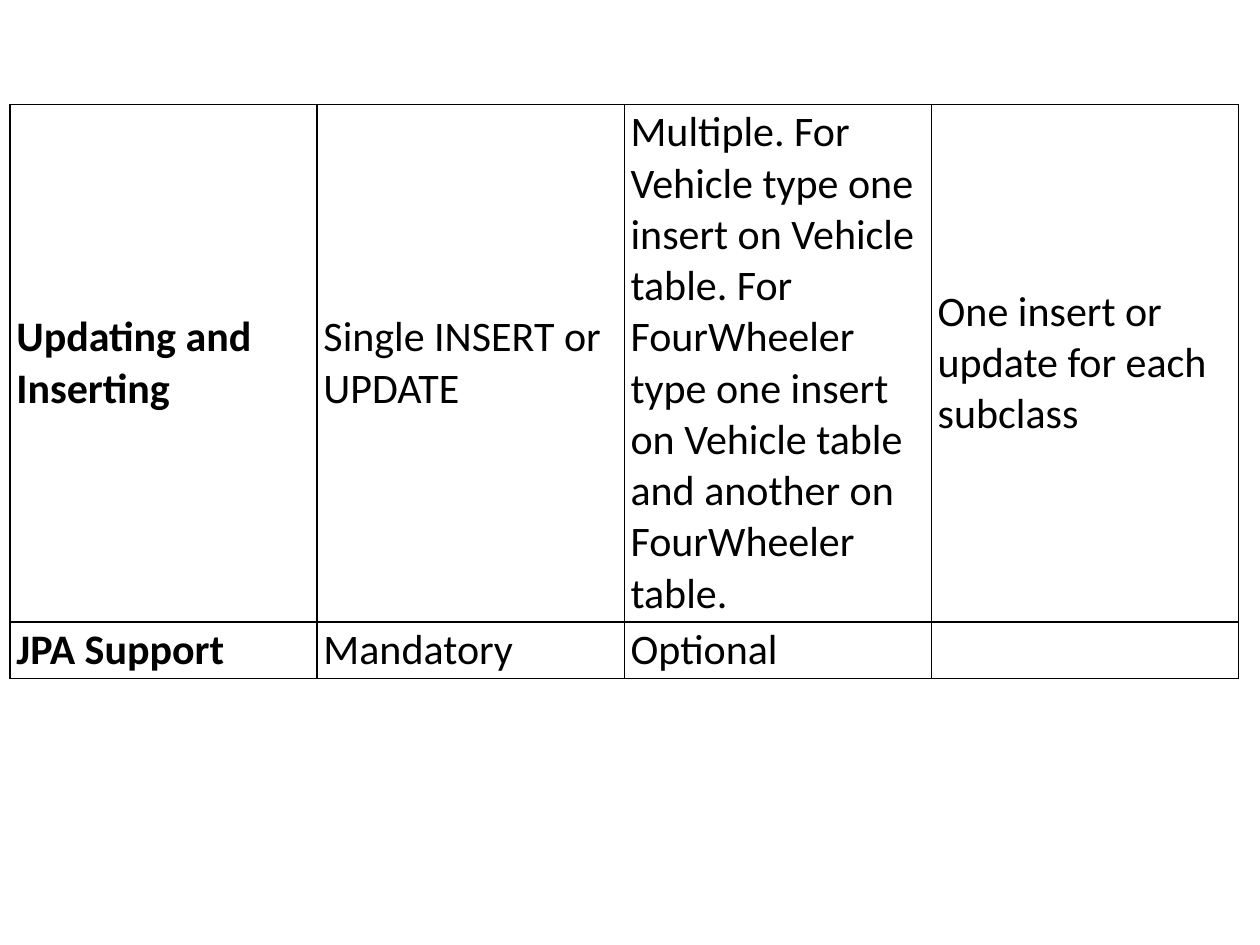
from lxml import etree
from pptx import Presentation
from pptx.dml.color import RGBColor
from pptx.enum import text
from pptx.oxml.ns import qn
from pptx.util import Inches, Pt

ROWS = [
    ("Updating and Inserting", "Single INSERT or UPDATE",
     "Multiple. For Vehicle type one insert on Vehicle table. For FourWheeler "
     "type one insert on Vehicle table and another on FourWheeler table.",
     "One insert or update for each subclass"),
    ("JPA Support", "Mandatory", "Optional", ""),
]
HEIGHTS = (1.01, 0.14)
LEFT, TOP, WIDTH, HEIGHT = 0.08, 0.83, 9.75, 4.49
INK, PAPER = "000000", "FFFFFF"


def paint(fill, color):
    fill.solid()
    fill.fore_color.rgb = RGBColor.from_string(color)


def border(cell):
    props = cell._tc.get_or_add_tcPr()
    for place, side in enumerate(("lnL", "lnR", "lnT", "lnB")):
        line = etree.Element(qn("a:" + side), w=str(Pt(1)))
        fill = etree.SubElement(line, qn("a:solidFill"))
        etree.SubElement(fill, qn("a:srgbClr"), val=INK)
        props.insert(place, line)


def style(cell, words, bold):
    cell.margin_left = cell.margin_right = Inches(0.05)
    cell.margin_top = cell.margin_bottom = Inches(0.02)
    cell.vertical_anchor = text.MSO_ANCHOR.MIDDLE
    cell.text_frame.text = words
    for run in cell.text_frame.paragraphs[0].runs:
        run.font.name = "Calibri"
        run.font.size = Pt(24)
        run.font.bold = bold
        paint(run.font.fill, INK)
    paint(cell.fill, PAPER)
    border(cell)


def main():
    deck = Presentation()
    deck.slide_width, deck.slide_height = Inches(10), Inches(7.5)
    slide = deck.slides.add_slide(deck.slide_layouts[6])
    frame = slide.shapes.add_table(
        len(ROWS), len(ROWS[0]),
        Inches(LEFT), Inches(TOP), Inches(WIDTH), Inches(HEIGHT))
    table = frame.table
    table.first_row = table.horz_banding = False
    for r, row in enumerate(ROWS):
        table.rows[r].height = Inches(HEIGHTS[r])
        for c, words in enumerate(row):
            style(table.cell(r, c), words, c == 0)
    frame.height = Inches(HEIGHT)
    deck.save("out.pptx")


if __name__ == "__main__":
    main()
